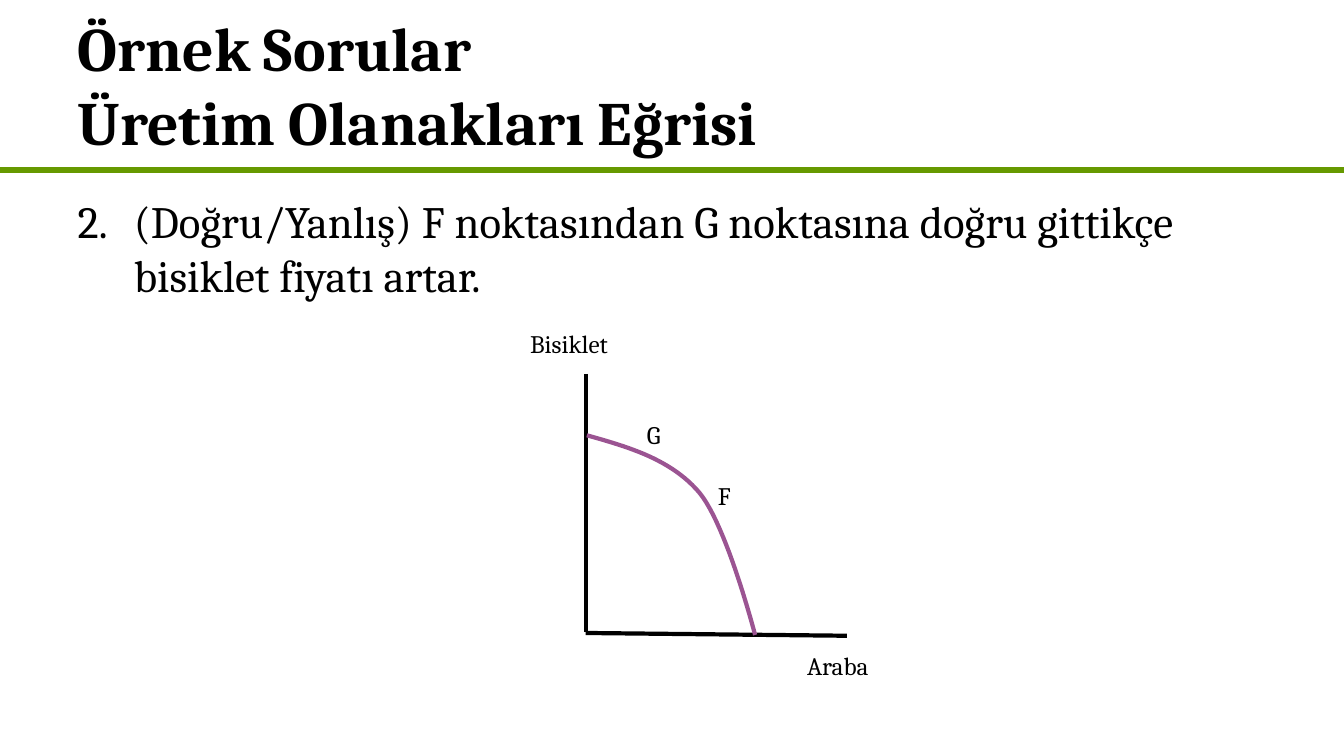
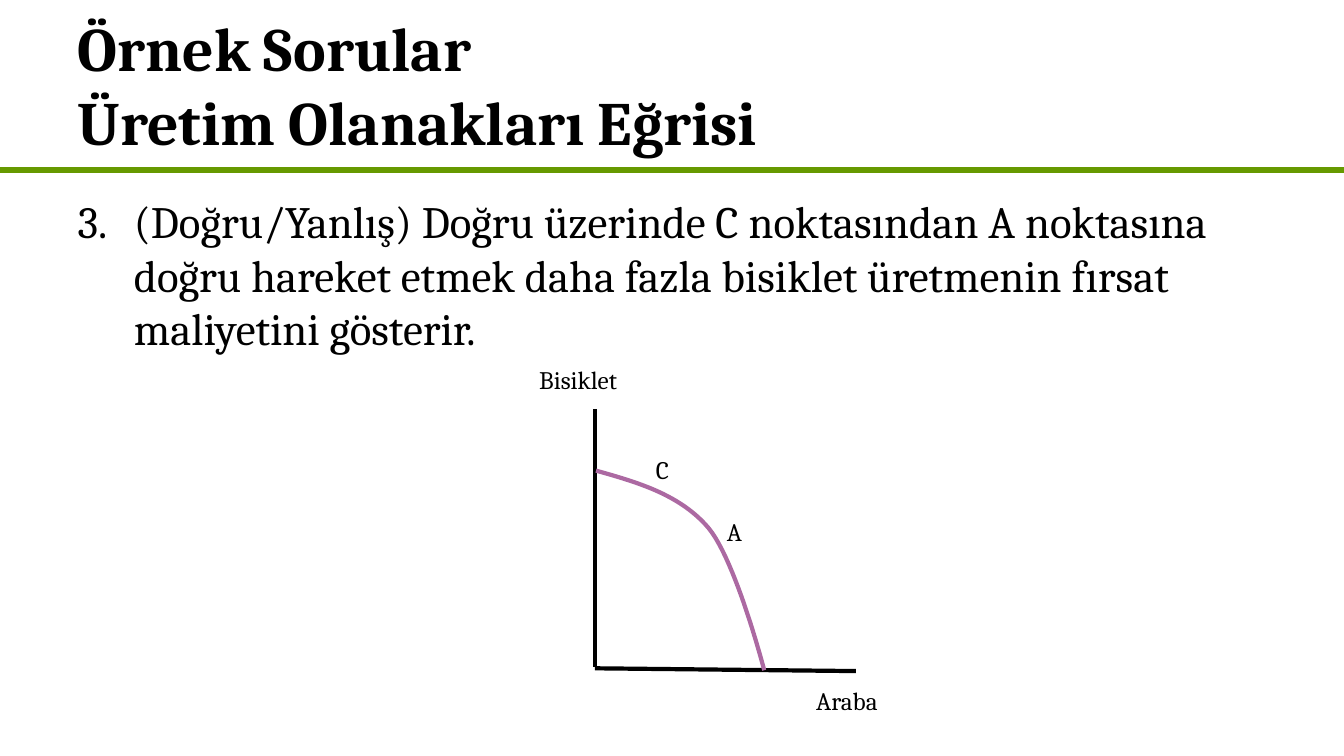
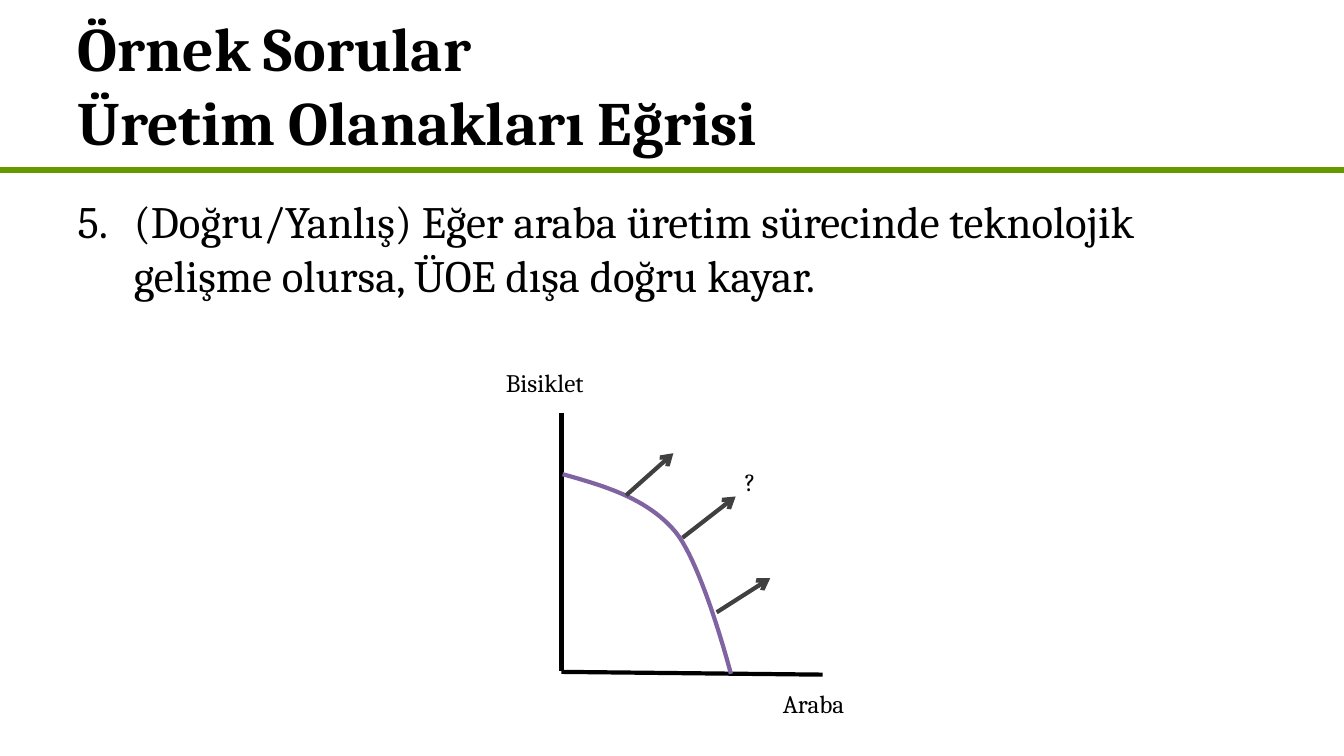
from lxml.etree import SubElement
from pptx import Presentation
from pptx.dml.color import RGBColor
from pptx.enum.shapes import MSO_CONNECTOR
from pptx.enum.text import MSO_ANCHOR, MSO_AUTO_SIZE, PP_ALIGN
from pptx.oxml.ns import qn
from pptx.util import Cm, Pt

BLACK = RGBColor(0x00, 0x00, 0x00)
GREEN = RGBColor(0x66, 0x99, 0x00)
DARK_GRAY = RGBColor(0x40, 0x40, 0x40)
PLUM = RGBColor(0x9B, 0x54, 0x92)
ORCHID = RGBColor(0xAC, 0x69, 0xA2)
VIOLET = RGBColor(0x80, 0x64, 0xA2)

FONT = "Cambria"
SLIDE_WIDTH, SLIDE_HEIGHT = 33.87, 19.05
TITLE = "Örnek Sorular\vÜretim Olanakları Eğrisi"

# Lengths in centimetres, measured from the top of the vertical axis.
AXIS_HEIGHT = 6.5
CURVE_START = (0.03, 1.55)
CURVE_SEGMENTS = [
    [(0, 0), (1.07, 0.3), (2.13, 0.61), (2.84, 1.45)],
    [(2.84, 1.45), (3.53, 2.29), (4.24, 5.03), (4.24, 5.03)],
]
UPPER_POINT = (1.29, 1.02)
LOWER_POINT = (3.08, 2.57)
SHIFT_MARK = (4.37, 1.22)
SHIFT_ARROWS = [
    ((1.63, 2.08), (2.82, 1.02)),
    ((3.05, 3.15), (4.39, 2.11)),
    ((3.91, 5.03), (5.26, 4.17)),
]

QUESTIONS = [
    dict(
        number=2,
        text="(Doğru/Yanlış) F noktasından G noktasına doğru gittikçe bisiklet fiyatı artar.",
        origin=(14.76, 9.42),
        color=PLUM,
        labels=[("F", LOWER_POINT), ("G", UPPER_POINT)],
        arrows=[],
    ),
    dict(
        number=3,
        text="(Doğru/Yanlış) Doğru üzerinde C noktasından A noktasına doğru hareket "
             "etmek daha fazla bisiklet üretmenin fırsat maliyetini gösterir.",
        origin=(14.99, 10.31),
        color=ORCHID,
        labels=[("A", LOWER_POINT), ("C", UPPER_POINT)],
        arrows=[],
    ),
    dict(
        number=5,
        text="(Doğru/Yanlış) Eğer araba üretim sürecinde teknolojik gelişme olursa, "
             "ÜOE dışa doğru kayar.",
        origin=(14.15, 10.4),
        color=VIOLET,
        labels=[("?", SHIFT_MARK)],
        arrows=SHIFT_ARROWS,
    ),
]


def bezier_point(controls, t):
    """Return the point at t (0 to 1) on a cubic Bézier curve."""
    weights = ((1 - t) ** 3, 3 * t * (1 - t) ** 2, 3 * t ** 2 * (1 - t), t ** 3)
    return tuple(
        sum(weight * control[axis] for weight, control in zip(weights, controls))
        for axis in (0, 1)
    )


class QuestionDeck:
    """Holds the presentation, the current slide and the diagram's origin."""

    def __init__(self):
        self.presentation = Presentation()
        self.presentation.slide_width = Cm(SLIDE_WIDTH)
        self.presentation.slide_height = Cm(SLIDE_HEIGHT)
        self.slide = None
        self.origin = (0, 0)

    def start_slide(self):
        layout = self.presentation.slide_layouts[1]
        self.slide = self.presentation.slides.add_slide(layout)
        self.origin = (0, 0)
        self.add_line((0, 4.29), (SLIDE_WIDTH, 4.29), GREEN, 4.5)

    def place(self, point):
        """Turn a point relative to the origin into slide lengths."""
        return tuple(Cm(start + offset) for start, offset in zip(self.origin, point))

    def fill_text(self, shape, text, size, bold=False):
        text_frame = shape.text_frame
        text_frame.text = text
        text_frame.word_wrap = True
        text_frame.auto_size = MSO_AUTO_SIZE.NONE
        paragraph = text_frame.paragraphs[0]
        paragraph.alignment = PP_ALIGN.LEFT
        paragraph.space_before = Pt(0)
        for run in paragraph.runs:
            run.font.name = FONT
            run.font.size = Pt(size)
            run.font.bold = bold
            run.font.color.rgb = BLACK
        return paragraph

    def fill_placeholder(self, placeholder, top, height, text, size, bold=False):
        placeholder.left, placeholder.top = Cm(1.7), Cm(top)
        placeholder.width, placeholder.height = Cm(30.48), Cm(height)
        return self.fill_text(placeholder, text, size, bold)

    def set_title(self, text):
        title = self.slide.shapes.title
        self.fill_placeholder(title, 0, 4.24, text, 44, bold=True)
        title.text_frame.vertical_anchor = MSO_ANCHOR.MIDDLE

    def set_question(self, number, text):
        body = self.slide.placeholders[1]
        paragraph = self.fill_placeholder(body, 4.75, 13.59, text, 32)
        properties = paragraph._p.get_or_add_pPr()
        properties.set("marL", str(Cm(1.42)))
        properties.set("indent", str(-Cm(1.42)))
        SubElement(properties, qn("a:buFont"), typeface=FONT)
        SubElement(properties, qn("a:buAutoNum"), type="arabicPeriod", startAt=str(number))

    def add_line(self, start, end, color, width=3, arrow=False):
        connector = self.slide.shapes.add_connector(
            MSO_CONNECTOR.STRAIGHT, *self.place(start), *self.place(end))
        connector.line.color.rgb = color
        connector.line.width = Pt(width)
        properties = connector.element.spPr
        if arrow:
            SubElement(properties.find(qn("a:ln")), qn("a:tailEnd"), type="arrow")
        SubElement(properties, qn("a:effectLst"))

    def add_label(self, text, position, width=1.3):
        label = self.slide.shapes.add_textbox(*self.place(position), Cm(width), Cm(1.02))
        self.fill_text(label, text, 18)

    def add_curve(self, color, steps=24):
        start_x, start_y = CURVE_START
        points = [
            self.place((start_x + x, start_y + y))
            for segment in CURVE_SEGMENTS
            for x, y in (bezier_point(segment, step / steps) for step in range(1, steps + 1))
        ]
        builder = self.slide.shapes.build_freeform(*self.place(CURVE_START))
        builder.add_line_segments(points, close=False)
        curve = builder.convert_to_shape()
        curve.shadow.inherit = False
        curve.fill.background()
        curve.line.color.rgb = color
        curve.line.width = Pt(3)

    def add_diagram(self, origin, color, labels, arrows):
        self.origin = origin
        self.add_line((0, 0), (0, AXIS_HEIGHT), BLACK)
        self.add_line((6.58, 6.6), (0, 6.53), BLACK)
        self.add_label("Bisiklet", (-1.65, -1.26), 3.56)
        self.add_label("Araba", (5.33, 6.83), 3.56)
        self.add_curve(color)
        for text, position in labels:
            self.add_label(text, position)
        for start, end in arrows:
            self.add_line(start, end, DARK_GRAY, arrow=True)


def main():
    deck = QuestionDeck()
    for question in QUESTIONS:
        deck.start_slide()
        deck.set_title(TITLE)
        deck.set_question(question["number"], question["text"])
        deck.add_diagram(question["origin"], question["color"],
                         question["labels"], question["arrows"])
    deck.presentation.save("out.pptx")


if __name__ == "__main__":
    main()
